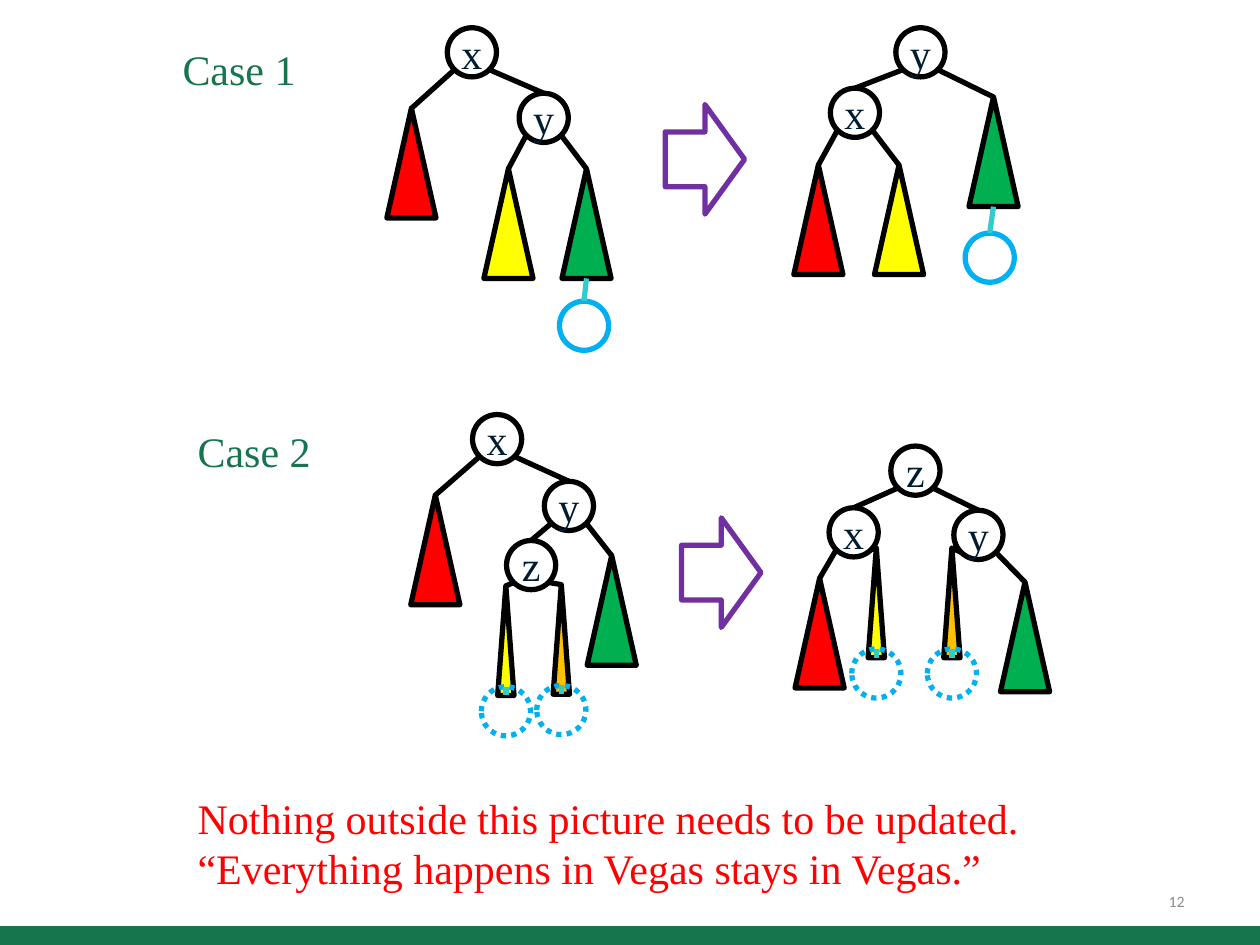
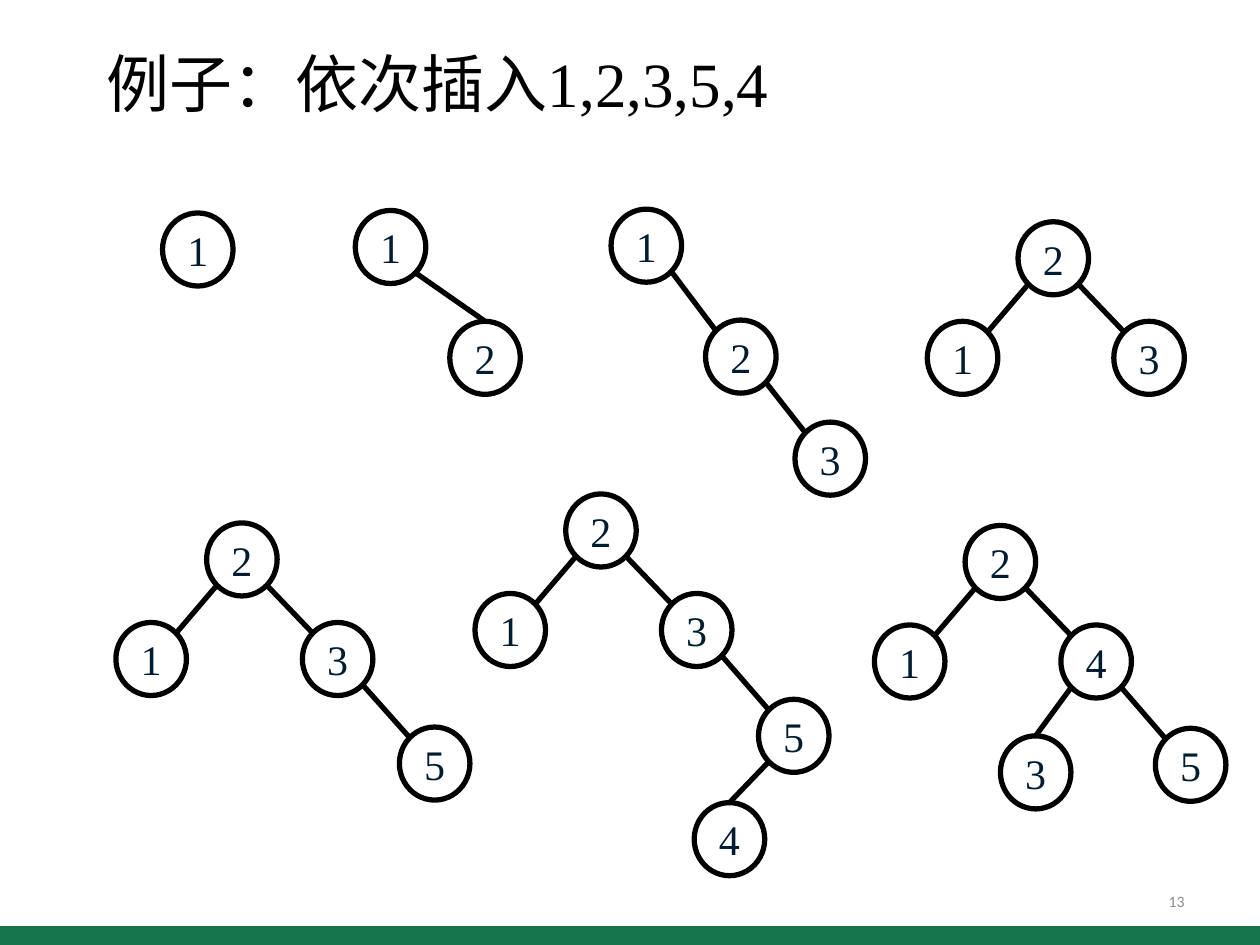
"""Build two slides on rotations in balanced search trees."""
from dataclasses import dataclass
from math import copysign, sqrt

from lxml.etree import SubElement
from pptx import Presentation
from pptx.dml.color import RGBColor
from pptx.enum.dml import MSO_LINE
from pptx.enum.shapes import MSO_CONNECTOR, MSO_SHAPE
from pptx.enum.text import MSO_ANCHOR, PP_ALIGN
from pptx.oxml.ns import qn
from pptx.util import Inches, Pt

COLUMNS, ROWS = 100, 75
WIDTH, HEIGHT = Inches(10), Inches(7.5)
SERIF, SANS = "Times New Roman", "Calibri"
BLACK = RGBColor(0x00, 0x00, 0x00)
NAVY = RGBColor(0x00, 0x1C, 0x30)
FOREST = RGBColor(0x16, 0x75, 0x4D)
GREY = RGBColor(0x8C, 0x8C, 0x8C)
RED = RGBColor(0xFF, 0x00, 0x00)
YELLOW = RGBColor(0xFF, 0xFF, 0x00)
GREEN = RGBColor(0x00, 0xB0, 0x50)
ORANGE = RGBColor(0xFF, 0xC0, 0x00)
BLUE = RGBColor(0x00, 0xB0, 0xF0)
TEAL = RGBColor(0x33, 0xCC, 0xCC)
PURPLE = RGBColor(0x70, 0x30, 0xA0)
SMALL, LARGE = (3.9, 3.9), (5.6, 5.8)
WIDE, NARROW = (3.9, 8.7), (1.3, 8.7)
DIAGONAL = sqrt(2) / 4


@dataclass
class Part:
    """A piece of a tree, placed by its step from its parent."""
    step: tuple
    size: tuple
    children: tuple = ()
    kind: MSO_SHAPE = MSO_SHAPE.OVAL
    label: str = ""
    fill: RGBColor = None
    line: RGBColor = BLACK
    dash: MSO_LINE = None
    meets_side: bool = False


def node(label, step, *children):
    """Describe a small labelled node."""
    return Part(step, SMALL, children, label=label)


def number(label, step, *children, meets_side=True):
    """Describe a large numbered node."""
    return Part(step, LARGE, children, label=label, meets_side=meets_side)


def subtree(fill, step, *children, size=WIDE):
    """Describe a subtree drawn as a filled triangle."""
    return Part(step, size, children, kind=MSO_SHAPE.ISOSCELES_TRIANGLE, fill=fill)


def inserted(step, dash=None):
    """Describe a newly inserted node."""
    return Part(step, SMALL, line=BLUE, dash=dash)


def sliver(fill, step):
    """Describe a narrow subtree where the new node may hang."""
    return subtree(fill, step, inserted((-1.3, 8), MSO_LINE.ROUND_DOT), size=NARROW)


def small_tree(top, left, *grandchildren, root="2", right="3"):
    """Describe a numbered root with two children."""
    return number(root, (left, top), number("1", (-7.2, 7.9)),
                  number(right, (7.6, 7.9), *grandchildren))


def across(columns):
    """Turn grid columns into a length."""
    return round(WIDTH * columns / COLUMNS)


def down(rows):
    """Turn grid rows into a length."""
    return round(HEIGHT * rows / ROWS)


def write(frame, *lines, size=24, font=SERIF, colour=NAVY, align=PP_ALIGN.LEFT,
          anchor=MSO_ANCHOR.TOP, spacing=None, inset=None):
    """Fill a text frame with one paragraph for each line."""
    frame.word_wrap = True
    frame.vertical_anchor = anchor
    if inset is not None:
        frame.margin_left = frame.margin_right = inset
        frame.margin_top = frame.margin_bottom = inset
    for index, line in enumerate(lines):
        para = frame.add_paragraph() if index else frame.paragraphs[0]
        para.alignment = align
        para.line_spacing = spacing
        span = para.add_run()
        span.text = line
        span.font.size = Pt(size)
        span.font.name = font
        span.font.color.rgb = colour


def add_text(page, left, top, width, height, *lines, **style):
    """Add a text box on the grid."""
    box = page.shapes.add_textbox(across(left), down(top), across(width), down(height))
    write(box.text_frame, *lines, **style)


def add_outline(shapes, kind, left, top, size, fill=None, line=None, dash=None):
    """Add a preset shape with an optional fill and a thick outline."""
    width, height = size
    shape = shapes.add_shape(kind, across(left), down(top), across(width), down(height))
    shape.shadow.inherit = False
    if fill is None:
        shape.fill.background()
    else:
        shape.fill.solid()
        shape.fill.fore_color.rgb = fill
    if line is None:
        shape.line.fill.background()
    else:
        shape.line.color.rgb = line
        shape.line.width = Pt(3)
    if dash is not None:
        shape.line.dash_style = dash
    return shape


def add_edge(shapes, start, end, colour):
    """Join two grid points with a straight line."""
    edge = shapes.add_connector(MSO_CONNECTOR.STRAIGHT, across(start[0]), down(start[1]),
                                across(end[0]), down(end[1]))
    edge.line.color.rgb = colour
    edge.line.width = Pt(3)
    SubElement(edge.element.spPr, qn("a:effectLst"))


def join(shapes, parent, origin, child, place):
    """Draw the edge from a parent to its child."""
    (width, height), (child_width, child_height) = parent.size, child.size
    middle = origin[0] + width / 2
    child_middle = place[0] + child_width / 2
    side = copysign(DIAGONAL, child_middle - middle)
    end = (child_middle, place[1])
    if child.meets_side:
        end = (child_middle - side * child_width,
               place[1] + child_height * (0.5 - DIAGONAL))
    if parent.kind == MSO_SHAPE.OVAL:
        start = (middle + side * width, origin[1] + height * (0.5 + DIAGONAL))
        add_edge(shapes, start, end, BLACK)
    else:
        add_edge(shapes, (middle, origin[1] + height), end, TEAL)


def draw_part(shapes, part, left=0, top=0):
    """Draw a part, then its children with their edges."""
    left, top = left + part.step[0], top + part.step[1]
    shape = add_outline(shapes, part.kind, left, top, part.size,
                        part.fill, part.line, part.dash)
    if part.label:
        write(shape.text_frame, part.label, align=PP_ALIGN.CENTER,
              anchor=MSO_ANCHOR.MIDDLE, inset=0)
    for child in part.children:
        draw_part(shapes, child, left, top)
        place = (left + child.step[0], top + child.step[1])
        join(shapes, part, (left, top), child, place)


def add_trees(page, *trees):
    """Draw each tree as a group."""
    for tree in trees:
        draw_part(page.shapes.add_group_shape().shapes, tree)


def add_page(deck, page_number):
    """Add a blank page with the bottom band and page number."""
    page = deck.slides.add_slide(deck.slide_layouts[6])
    add_outline(page.shapes, MSO_SHAPE.RECTANGLE, 0, 73.5, (COLUMNS, 1.5), fill=FOREST)
    add_text(page, 71.7, 69.5, 23.3, 4, str(page_number), size=9, font=SANS,
             colour=GREY, align=PP_ALIGN.RIGHT, anchor=MSO_ANCHOR.MIDDLE)
    return page


def add_rotation_cases(deck):
    """Show both rotation cases before and after."""
    page = add_page(deck, 12)
    add_trees(
        page,
        node("x", (35.5, 2.2),
             subtree(RED, (-4.8, 6.4)),
             node("y", (5.7, 5.2),
                  subtree(YELLOW, (-2.8, 6)),
                  subtree(GREEN, (3.4, 6), inserted((-0.2, 10.5))))),
        node("y", (71.1, 2.2),
             node("x", (-5.2, 4.8),
                  subtree(RED, (-2.9, 6.1)),
                  subtree(YELLOW, (3.5, 6.1))),
             subtree(GREEN, (5.8, 5.5), inserted((-0.3, 10.8)))),
        node("x", (37.5, 32.9),
             subtree(RED, (-4.9, 6.4)),
             node("y", (5.7, 5.3),
                  node("z", (-3, 4.7),
                       sliver(YELLOW, (-0.7, 3.6)),
                       sliver(ORANGE, (3.7, 3.5))),
                  subtree(GREEN, (3.4, 5.9)))),
        node("z", (70.7, 35.4),
             node("x", (-4.9, 4.9),
                  subtree(RED, (-2.7, 5.6)),
                  sliver(YELLOW, (3.1, 3.2))),
             node("y", (5, 5.1),
                  sliver(ORANGE, (-0.8, 3)),
                  subtree(GREEN, (3.7, 5.7)))))
    for left, top in ((52.8, 8.3), (54.1, 41.1)):
        add_outline(page.shapes, MSO_SHAPE.RIGHT_ARROW, left, top, (6.3, 8.7), line=PURPLE)
    for left, top, label in ((13.5, 3, "Case 1"), (14.7, 33.3, "Case 2")):
        add_text(page, left, top, 14.8, 5, label, colour=FOREST)
    add_text(page, 14.7, 62.4, 75, 9.1,
             "Nothing outside this picture needs to be updated.",
             "“Everything happens in Vegas stays in Vegas.”", colour=RED)


def add_insertion_example(deck):
    """Show the tree after each insertion and rotation."""
    page = add_page(deck, 13)
    add_text(page, 7.5, 3.7, 85, 9, "例子：依次插入1,2,3,5,4",
             size=36, colour=BLACK, spacing=0.9)
    draw_part(page.shapes, number("1", (12.9, 16.9)))
    add_trees(
        page,
        number("1", (28.2, 16.7), number("2", (7.5, 8.8), meets_side=False)),
        number("1", (48.5, 16.6), number("2", (7.5, 8.8), number("3", (7.1, 8.1)))),
        small_tree(17.6, 80.8),
        small_tree(41.5, 16.4, number("5", (7.7, 8.3))),
        small_tree(39.2, 44.9,
                   number("5", (7.7, 8.4), number("4", (-5.1, 8.2), meets_side=False))),
        small_tree(41.7, 76.6,
                   number("5", (7.5, 8.2)),
                   number("3", (-4.8, 8.8), meets_side=False), right="4"))


def main():
    """Build and save the deck."""
    deck = Presentation()
    deck.slide_width, deck.slide_height = WIDTH, HEIGHT
    add_rotation_cases(deck)
    add_insertion_example(deck)
    deck.save("out.pptx")


if __name__ == "__main__":
    main()
